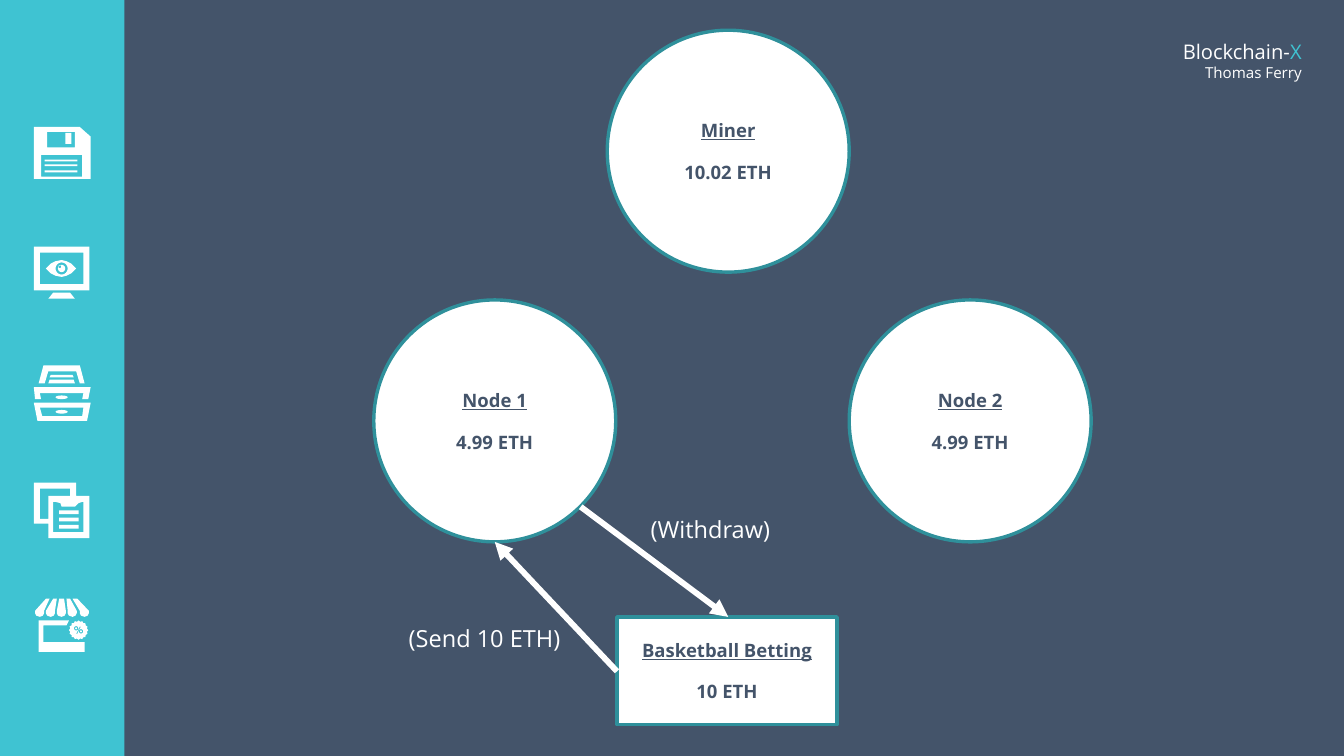
from math import cos, pi, sin

from lxml.etree import SubElement
from pptx import Presentation
from pptx.dml.color import RGBColor
from pptx.enum.shapes import MSO_CONNECTOR, MSO_SHAPE
from pptx.enum.text import MSO_ANCHOR, MSO_AUTO_SIZE, PP_ALIGN
from pptx.oxml.ns import qn
from pptx.util import Inches, Pt

FONT = "Open Sans"
COLORS = {
    name: RGBColor.from_string(value)
    for name, value in {
        "slate": "44546A",
        "turquoise": "3FC3D2",
        "teal": "2F909B",
        "white": "FFFFFF",
    }.items()
}


def box(left, top, right, bottom):
    """Return the corners of a rectangular outline."""
    return [(left, top), (right, top), (right, bottom), (left, bottom)]


def round_points(x, y, radius_x, radius_y, count=24, notch=1):
    """Return points around an ellipse; every second one is pulled in by notch."""
    points = []
    for i in range(count):
        angle = 2 * pi * i / count
        reach = notch if i % 2 else 1
        points.append((x + radius_x * reach * cos(angle), y + radius_y * reach * sin(angle)))
    return points


presentation = Presentation()
presentation.slide_width = Inches(11.11)
presentation.slide_height = Inches(6.25)
slide = presentation.slides.add_slide(presentation.slide_layouts[5])
slide.background.fill.solid()
slide.background.fill.fore_color.rgb = COLORS["slate"]

# Title block
title = slide.shapes.title
title.left, title.top = Inches(9.21), Inches(0.25)
title.width, title.height = Inches(1.65), Inches(0.5)
text_frame = title.text_frame
text_frame.auto_size = MSO_AUTO_SIZE.NONE
text_frame.word_wrap = True
text_frame.vertical_anchor = MSO_ANCHOR.MIDDLE
text_frame.margin_left = text_frame.margin_right = Inches(0.1)
text_frame.margin_top = text_frame.margin_bottom = Inches(0.1)
text_frame.text = "Blockchain-\nThomas Ferry"
text_frame.paragraphs[0].add_run().text = "X"
for paragraph, size in zip(text_frame.paragraphs, (12, 9)):
    paragraph.alignment = PP_ALIGN.RIGHT
    for run in paragraph.runs:
        run.font.name = FONT
        run.font.size = Pt(size)
        run.font.color.rgb = COLORS["turquoise" if run.text == "X" else "white"]

# Sidebar
sidebar = slide.shapes.add_shape(MSO_SHAPE.RECTANGLE, 0, 0, Inches(1.03), Inches(6.25))
sidebar.shadow.inherit = False
sidebar.fill.solid()
sidebar.fill.fore_color.rgb = COLORS["turquoise"]
sidebar.line.fill.background()

# Sidebar icons: nested outlines alternate between filled and empty
disk = [
    [(0.28, 1.05), (0.66, 1.05), (0.75, 1.13), (0.75, 1.48), (0.28, 1.48)],
    box(0.39, 1.09, 0.62, 1.22),
    box(0.54, 1.1, 0.59, 1.19),
    box(0.34, 1.28, 0.68, 1.46),
]
disk += [box(0.37, top, 0.64, top + 0.015) for top in (1.32, 1.36, 1.41)]

monitor = [
    box(0.28, 2.04, 0.74, 2.4),
    box(0.33, 2.09, 0.69, 2.35),
    [(0.44, 2.42), (0.58, 2.42), (0.62, 2.47), (0.4, 2.47)],
    [(0.38, 2.22), (0.42, 2.18), (0.46, 2.16), (0.51, 2.15), (0.55, 2.16), (0.59, 2.18),
     (0.63, 2.22), (0.59, 2.26), (0.55, 2.28), (0.51, 2.29), (0.46, 2.28), (0.42, 2.26)],
    round_points(0.51, 2.22, 0.05, 0.05),
    round_points(0.51, 2.22, 0.03, 0.03),
    round_points(0.495, 2.205, 0.012, 0.012),
]

drawers = [
    [(0.28, 3.2), (0.75, 3.2), (0.73, 3.3), (0.68, 3.3), (0.69, 3.25),
     (0.33, 3.25), (0.34, 3.3), (0.29, 3.3)],
    [(0.28, 3.33), (0.75, 3.33), (0.72, 3.48), (0.31, 3.48)],
    [(0.33, 3.37), (0.69, 3.37), (0.68, 3.44), (0.35, 3.44)],
    [(0.36, 3.02), (0.66, 3.02), (0.7, 3.17), (0.66, 3.17), (0.63, 3.07),
     (0.4, 3.07), (0.37, 3.17), (0.32, 3.17)],
    [(0.41, 3.14), (0.61, 3.14), (0.62, 3.17), (0.4, 3.17)],
    [(0.42, 3.1), (0.6, 3.1), (0.61, 3.12), (0.41, 3.12)],
]
drawers += [round_points(0.51, y, 0.05, 0.015) for y in (3.285, 3.405)]

clipboard = [
    [(0.28, 3.99), (0.63, 3.99), (0.63, 4.1), (0.74, 4.1), (0.74, 4.45),
     (0.4, 4.45), (0.4, 4.33), (0.28, 4.33)],
    [(0.33, 4.04), (0.58, 4.04), (0.58, 4.1), (0.4, 4.1), (0.4, 4.29), (0.33, 4.29)],
    [(0.44, 4.15), (0.46, 4.15), (0.5, 4.16), (0.51, 4.19), (0.62, 4.19),
     (0.65, 4.16), (0.68, 4.15), (0.69, 4.15), (0.69, 4.4), (0.44, 4.4)],
]
clipboard += [box(0.49, top, 0.65, top + 0.03) for top in (4.22, 4.28, 4.34)]

shop = [
    [(0.32, 5.13), (0.57, 5.13), (0.55, 5.17), (0.36, 5.17), (0.36, 5.31),
     (0.7, 5.31), (0.7, 5.39), (0.32, 5.39)],
    round_points(0.65, 5.21, 0.08, 0.08, count=32, notch=0.88),
    [(0.66, 5.18), (0.67, 5.18), (0.64, 5.24), (0.63, 5.24)],
]
for x, y in ((0.63, 5.195), (0.67, 5.22)):
    shop += [round_points(x, y, radius, radius) for radius in (0.018, 0.008)]
for top_left, top_right, left in (
    (0.38, 0.41, 0.29), (0.44, 0.47, 0.38), (0.49, 0.53, 0.47), (0.55, 0.58, 0.56), (0.6, 0.64, 0.66)
):
    right = left + 0.075
    shop.append([
        (top_left, 4.95), (top_right, 4.95), (right, 5.05), (right, 5.07), (right - 0.01, 5.09),
        (left + 0.04, 5.1), (left + 0.01, 5.09), (left, 5.07), (left, 5.05),
    ])

for outlines in (disk, monitor, drawers, clipboard, shop):
    builder = None
    for outline in outlines:
        points = [(Inches(x), Inches(y)) for x, y in outline]
        if builder is None:
            builder = slide.shapes.build_freeform(*points[0])
        else:
            builder.move_to(*points[0])
        builder.add_line_segments(points[1:], close=True)
    icon = builder.convert_to_shape()
    icon.shadow.inherit = False
    icon.fill.solid()
    icon.fill.fore_color.rgb = COLORS["white"]
    icon.line.fill.background()

# Accounts with their balances
accounts = [
    (MSO_SHAPE.OVAL, 5.02, 0.25, 2, 2, "Miner", "10.02 ETH"),
    (MSO_SHAPE.OVAL, 3.09, 2.48, 2, 2, "Node 1", "4.99 ETH"),
    (MSO_SHAPE.OVAL, 7.02, 2.48, 2, 2, "Node 2", "4.99 ETH"),
    (MSO_SHAPE.RECTANGLE, 5.1, 5.1, 1.82, 0.89, "Basketball Betting", "10 ETH"),
]
for kind, left, top, width, height, name, balance in accounts:
    account = slide.shapes.add_shape(kind, Inches(left), Inches(top), Inches(width), Inches(height))
    account.shadow.inherit = False
    account.fill.solid()
    account.fill.fore_color.rgb = COLORS["white"]
    account.line.color.rgb = COLORS["teal"]
    account.line.width = Pt(2)
    text_frame = account.text_frame
    text_frame.vertical_anchor = MSO_ANCHOR.MIDDLE
    text_frame.text = f"{name}\n{balance}"
    for paragraph in text_frame.paragraphs:
        paragraph.alignment = PP_ALIGN.CENTER
        font = paragraph.runs[0].font
        font.name, font.size, font.bold = FONT, Pt(11), True
        font.color.rgb = COLORS["slate"]
    text_frame.paragraphs[0].runs[0].font.underline = True
    text_frame.paragraphs[1].space_before = Pt(11.5)

# Transfers: arrow start, arrow end, label position, label
transfers = [
    ((4.8, 4.19), (6.02, 5.1), (5.28, 4.21), "(Withdraw)"),
    ((5.1, 5.55), (4.09, 4.48), (3.28, 5.11), "(Send 10 ETH)"),
]
for start, end, position, caption in transfers:
    arrow = slide.shapes.add_connector(
        MSO_CONNECTOR.STRAIGHT, *(Inches(value) for value in start + end)
    )
    arrow.line.color.rgb = COLORS["white"]
    arrow.line.width = Pt(3.5)
    SubElement(arrow.line._get_or_add_ln(), qn("a:tailEnd"), type="triangle")
    SubElement(arrow._element.spPr, qn("a:effectLst"))

    label = slide.shapes.add_textbox(*(Inches(value) for value in position + (1.62, 0.34)))
    label.text_frame.word_wrap = True
    label.text_frame.text = caption
    font = label.text_frame.paragraphs[0].runs[0].font
    font.name, font.size = FONT, Pt(14)
    font.color.rgb = COLORS["white"]

presentation.save("out.pptx")
